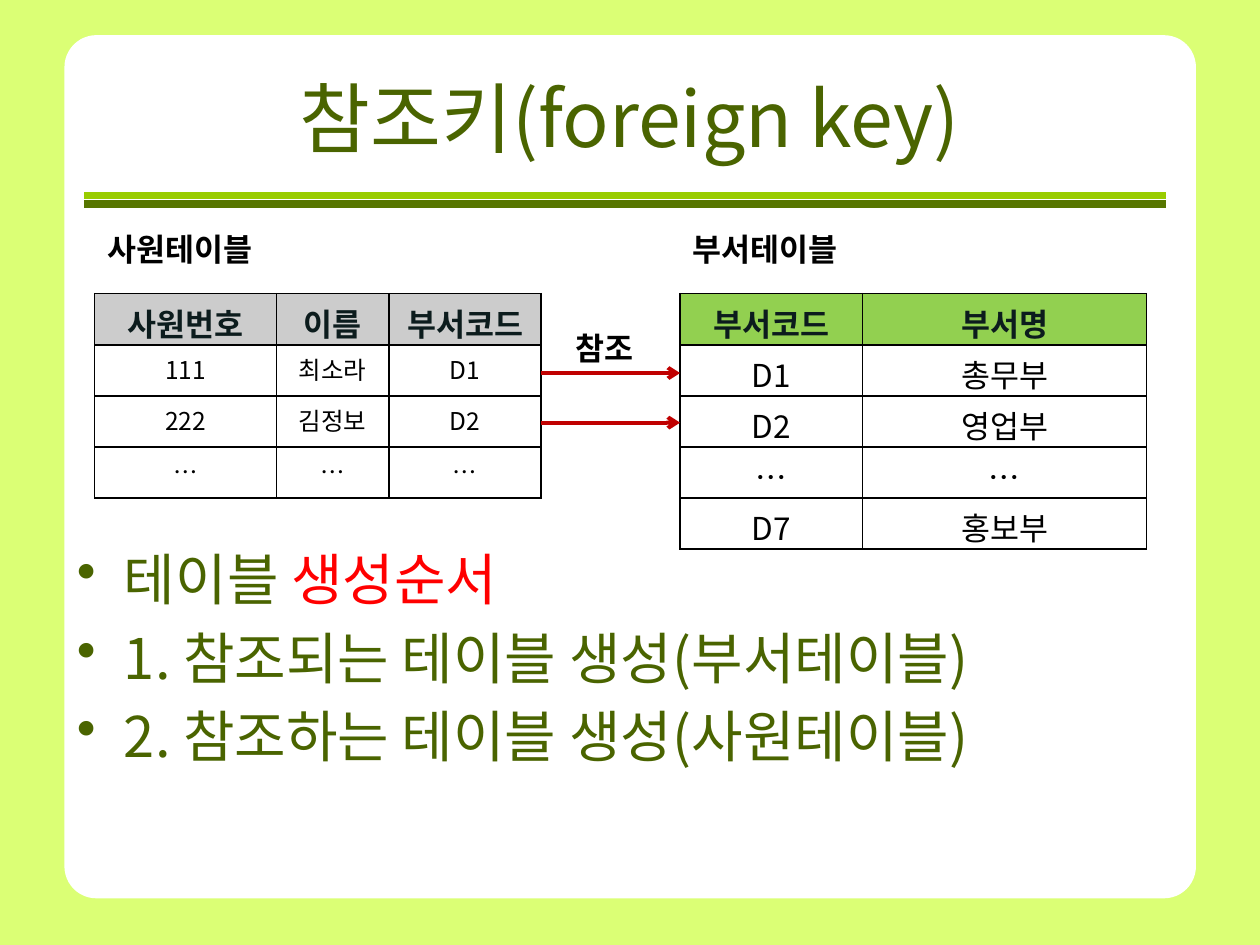
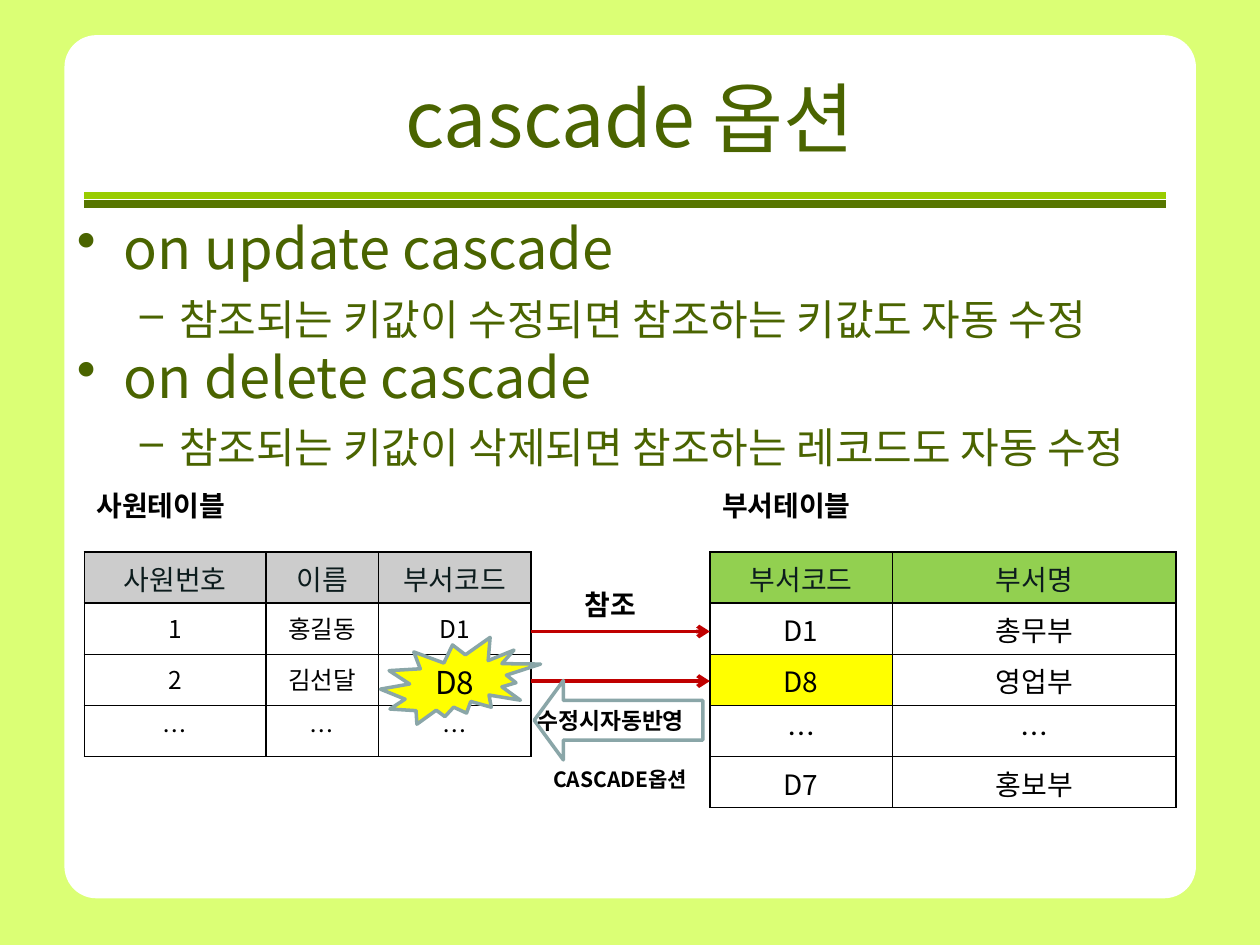
from lxml.etree import SubElement
from pptx import Presentation
from pptx.dml.color import RGBColor
from pptx.enum.shapes import MSO_CONNECTOR, MSO_SHAPE
from pptx.enum.text import MSO_ANCHOR, MSO_AUTO_SIZE, PP_ALIGN
from pptx.oxml.ns import qn
from pptx.util import Cm, Pt

FONT = "Noto Sans CJK KR"
LIME = RGBColor(0xDB, 0xFF, 0x75)
WHITE = RGBColor(0xFF, 0xFF, 0xFF)
BLACK = RGBColor(0, 0, 0)
BAND_LIGHT = RGBColor(0x99, 0xCC, 0x00)
BAND_DARK = RGBColor(0x57, 0x76, 0x00)
OLIVE = RGBColor(0x4A, 0x64, 0x00)
RED = RGBColor(0xFF, 0, 0)
ARROW_RED = RGBColor(0xC0, 0, 0)
HEAD_TEXT = RGBColor(0x0C, 0x1C, 0x1D)
HEAD_GREY = RGBColor(0xCC, 0xCC, 0xCC)
HEAD_GREEN = RGBColor(0x92, 0xD0, 0x50)
YELLOW = RGBColor(0xFF, 0xFF, 0)
OUTLINE = RGBColor(0x8A, 0xA6, 0xA8)

STAFF_COLS = (3.66, 2.27, 3.07)
DEPT_COLS = (3.68, 5.72)
ROW_HEIGHT = 1.03
BULLETS = (("•", 0.95, -0.95, 32), ("–", 2.06, -0.79, 24))  # mark, margin, indent, size


def format_run(r, size, color, bold=False):
    """Set size, colour and weight, and the font for Latin and Korean text."""
    r.font.name, r.font.size, r.font.bold = FONT, Pt(size), bold
    r.font.color.rgb = color
    SubElement(r.font._element, qn("a:ea"), typeface=FONT)


def add_text(s, box, text, size, color=BLACK, bold=False):
    """Add a text box with one paragraph and return its text frame."""
    tf = s.shapes.add_textbox(*map(Cm, box)).text_frame
    tf.text = text
    format_run(tf.paragraphs[0].runs[0], size, color, bold)
    return tf


def add_label(s, box, text, size):
    """Add a bold caption that does not wrap."""
    tf = add_text(s, box, text, size, bold=True)
    tf.word_wrap = False
    tf.auto_size = MSO_AUTO_SIZE.SHAPE_TO_FIT_TEXT


def add_line(s, x1, y1, x2, y2, color, width, arrow=False):
    """Add a straight line, with an open arrowhead at its end if asked."""
    line = s.shapes.add_connector(MSO_CONNECTOR.STRAIGHT, Cm(x1), Cm(y1), Cm(x2), Cm(y2))
    line.line.color.rgb, line.line.width = color, Pt(width)
    if arrow:
        SubElement(line.line._get_or_add_ln(), qn("a:tailEnd"), type="arrow")
    SubElement(line._element.spPr, qn("a:effectLst"))


def add_outlined(s, shape, box, fill=None):
    """Add a preset shape with the grey-blue outline."""
    sp = s.shapes.add_shape(shape, *map(Cm, box))
    sp.shadow.inherit = False
    if fill is None:
        sp.fill.background()
    else:
        sp.fill.solid()
        sp.fill.fore_color.rgb = fill
    sp.line.color.rgb, sp.line.width = OUTLINE, Pt(2)
    return sp


def add_page(prs, title):
    """Add a slide with the lime ground, white panel, title and double rule."""
    s = prs.slides.add_slide(prs.slide_layouts[6])
    s.background.fill.solid()
    s.background.fill.fore_color.rgb = LIME
    panel = s.shapes.add_shape(MSO_SHAPE.ROUNDED_RECTANGLE, *map(Cm, (1.3, 0.71, 22.81, 17.4)))
    panel.adjustments[0] = 0.037
    panel.shadow.inherit = False
    panel.fill.solid()
    panel.fill.fore_color.rgb = WHITE
    panel.line.fill.background()
    for y, color in ((3.94, BAND_LIGHT), (4.11, BAND_DARK)):
        add_line(s, 1.7, y, 23.5, y, color, 4.5)
    tf = add_text(s, (1.27, 0.76, 22.86, 3.18), title, 44, OLIVE)
    tf.word_wrap, tf.vertical_anchor = True, MSO_ANCHOR.MIDDLE
    tf.paragraphs[0].alignment = PP_ALIGN.CENTER
    return s


def add_body(s, box, items, line_pitch):
    """Add a bullet list; each item is a level and its (text, colour) runs."""
    tf = s.shapes.add_textbox(*map(Cm, box)).text_frame
    tf.word_wrap = True
    for i, (level, runs) in enumerate(items):
        p = tf.add_paragraph() if i else tf.paragraphs[0]
        mark, margin, indent, size = BULLETS[level]
        p.level, p.line_spacing, p.space_before = level, Pt(line_pitch), Pt(size * 0.2)
        pPr = p._p.get_or_add_pPr()
        pPr.set("marL", str(Cm(margin)))
        pPr.set("indent", str(Cm(indent)))
        SubElement(pPr, qn("a:buChar"), char=mark)
        for text, color in runs:
            r = p.add_run()
            r.text = text
            format_run(r, size, color)


def fill_cell(cell, text, fill, size, color, bold):
    """Write one centred cell with a fill and thin black borders."""
    cell.text = text
    p = cell.text_frame.paragraphs[0]
    p.alignment = PP_ALIGN.CENTER
    for r in p.runs:
        format_run(r, size, color, bold)
    if not text:
        SubElement(p._p, qn("a:endParaRPr"), sz=str(size * 100))
    tcPr = cell._tc.get_or_add_tcPr()
    for side in ("a:lnL", "a:lnR", "a:lnT", "a:lnB"):
        ln = SubElement(tcPr, qn(side), w=str(Pt(1)))
        SubElement(SubElement(ln, qn("a:solidFill")), qn("a:srgbClr"), val=str(BLACK))
    cell.fill.solid()
    cell.fill.fore_color.rgb = fill


def add_grid(s, left, top, cols, rows, head_fill, head_size, body_size, head_bold, marked=()):
    """Add a table with a coloured header; marked cells turn yellow."""
    table = s.shapes.add_table(len(rows), len(cols), Cm(left), Cm(top), Cm(sum(cols)),
                               Cm(ROW_HEIGHT * len(rows))).table
    for col, width in zip(table.columns, cols):
        col.width = Cm(width)
    for i, row in enumerate(rows):
        table.rows[i].height = Cm(ROW_HEIGHT)
        for j, text in enumerate(row):
            if i == 0:
                style = head_fill, head_size, HEAD_TEXT, head_bold
            else:
                style = YELLOW if (i, j) in marked else WHITE, body_size, BLACK, False
            fill_cell(table.cell(i, j), text, *style)


def add_reference(s, left, top, gap, size, staff, dept, label_shift, bold=False, marked=()):
    """Place the staff and department tables with the arrows between them."""
    staff_right = left + sum(STAFF_COLS)
    dept_left = staff_right + gap
    add_grid(s, left, top, STAFF_COLS, staff, HEAD_GREY, size, 14, bold)
    add_grid(s, dept_left, top, DEPT_COLS, dept, HEAD_GREEN, size, size, bold, marked)
    height = size * 0.05 + 0.12
    for x, text in ((left, "사원테이블"), (dept_left, "부서테이블")):
        add_label(s, (x, top - 1.4, size * 0.19 + 0.29, height), text, size)
    for dy in (1.6, 2.6):
        add_line(s, staff_right, top + dy, dept_left, top + dy, ARROW_RED, 2.25, arrow=True)
    add_label(s, (staff_right + label_shift, top + 0.58, size * 0.07 + 0.51, height), "참조", size)


def add_cascade_marks(s, left, top):
    """Mark the changed key and its way back, relative to the staff table."""
    seal = add_outlined(s, MSO_SHAPE.EXPLOSION2, (left + 5.97, top + 1.72, 3.23, 1.75), YELLOW)
    tf = seal.text_frame
    tf.text, tf.vertical_anchor = "D8", MSO_ANCHOR.MIDDLE
    tf.paragraphs[0].alignment = PP_ALIGN.CENTER
    format_run(tf.paragraphs[0].runs[0], 18, BLACK)
    back = add_outlined(s, MSO_SHAPE.LEFT_ARROW, (left + 9.07, top + 2.59, 3.4, 1.6))
    back.adjustments[1] = 0.367
    add_label(s, (left + 8.89, top + 2.99, 3.68, 0.81), "수정시자동반영", 13)
    add_label(s, (left + 9.2, top + 4.19, 3.48, 0.76), "CASCADE옵션", 12)


def dept_rows(second_code):
    """Return the department rows with the given code for the second one."""
    return [("부서코드", "부서명"), ("D1", "총무부"), (second_code, "영업부"),
            ("…", "…"), ("D7", "홍보부")]


def staff_rows(*people):
    """Return the staff rows between the header and the row of dots."""
    return [("사원번호", "이름", "부서코드"), *people, ("…",) * 3]


def foreign_key_slide(prs):
    """Build the slide on foreign keys."""
    s = add_page(prs, "참조키(foreign key)")
    add_body(s, (1.3, 10.85, 22.86, 6.17), [
        (0, [("테이블 ", OLIVE), ("생성순서", RED)]),
        (0, [("1. 참조되는 테이블 생성(부서테이블)", OLIVE)]),
        (0, [("2. 참조하는 테이블 생성(사원테이블)", OLIVE)]),
    ], 38.5)
    add_reference(s, 1.91, 5.92, 2.8, 18,
                  staff_rows(("111", "최소라", "D1"), ("222", "김정보", "D2")),
                  dept_rows("D2"), 0.44, bold=True)


def cascade_slide(prs):
    """Build the slide on the cascade options."""
    s = add_page(prs, "cascade 옵션")
    add_body(s, (1.3, 4.45, 22.86, 12.57), [
        (0, [("on update cascade", OLIVE)]),
        (1, [("참조되는 키값이 수정되면 참조하는 키값도 자동 수정", OLIVE)]),
        (0, [("on delete cascade", OLIVE)]),
        (1, [("참조되는 키값이 삭제되면 참조하는 레코드도 자동 수정", OLIVE)]),
    ], 31)
    left, top = 1.7, 11.13
    add_reference(s, left, top, 3.61, 16,
                  staff_rows(("1", "홍길동", "D1"), ("2", "김선달", "")),
                  dept_rows("D8"), 0.84, marked={(2, 0)})
    add_cascade_marks(s, left, top)


prs = Presentation()
prs.slide_width, prs.slide_height = Cm(25.4), Cm(19.05)
foreign_key_slide(prs)
cascade_slide(prs)
prs.save("out.pptx")
